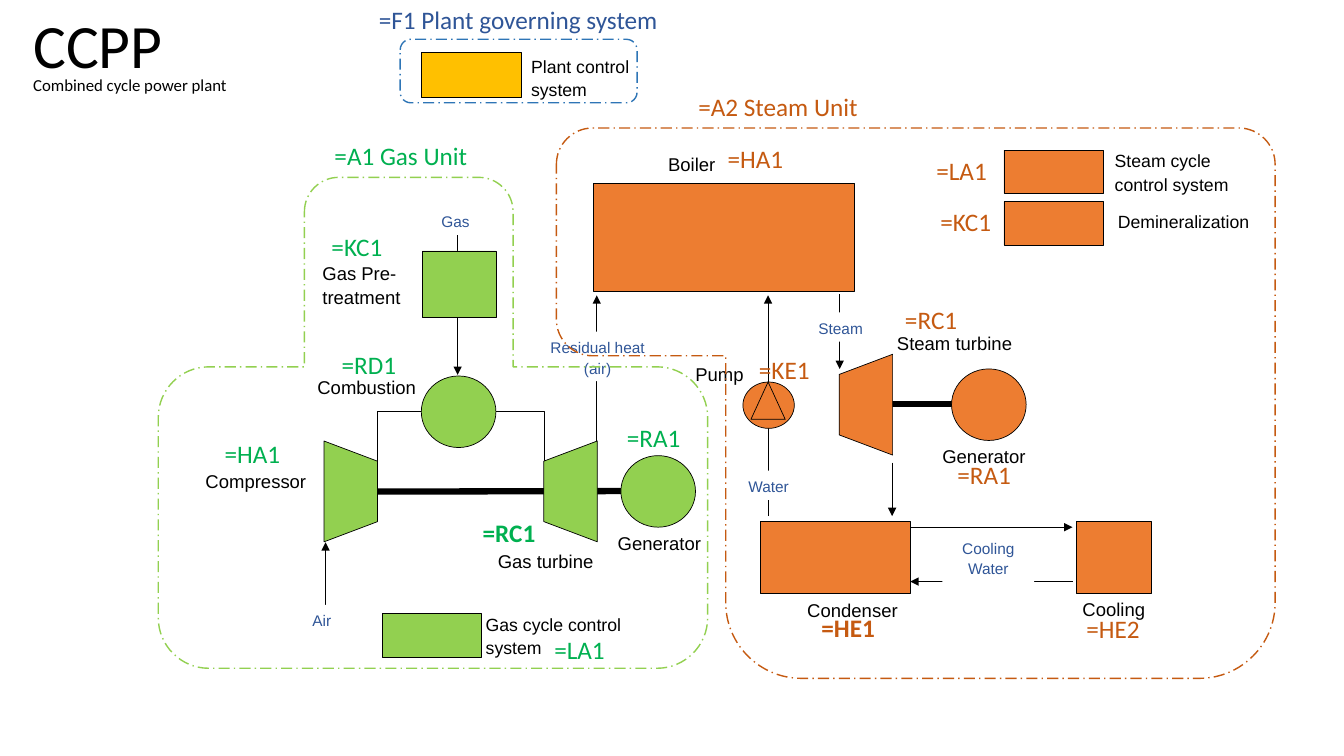
import math

from lxml import etree
from pptx import Presentation
from pptx.dml.color import RGBColor
from pptx.enum.dml import MSO_LINE
from pptx.enum.shapes import MSO_CONNECTOR, MSO_SHAPE
from pptx.enum.text import MSO_ANCHOR, MSO_AUTO_SIZE, PP_ALIGN
from pptx.oxml.ns import qn
from pptx.util import Inches, Pt

RECTANGLE = MSO_SHAPE.RECTANGLE
ROUNDED = MSO_SHAPE.ROUNDED_RECTANGLE
OVAL = MSO_SHAPE.OVAL
TRIANGLE = MSO_SHAPE.ISOSCELES_TRIANGLE
TURBINE = MSO_SHAPE.FLOWCHART_MANUAL_OPERATION
STRAIGHT = MSO_CONNECTOR.STRAIGHT
DASH = MSO_LINE.LONG_DASH_DOT
LEFT, CENTER = PP_ALIGN.LEFT, PP_ALIGN.CENTER
TOP, MIDDLE = MSO_ANCHOR.TOP, MSO_ANCHOR.MIDDLE
NO_FIT, GROW = MSO_AUTO_SIZE.NONE, MSO_AUTO_SIZE.SHAPE_TO_FIT_TEXT

BLACK = RGBColor(0x00, 0x00, 0x00)
WHITE = RGBColor(0xFF, 0xFF, 0xFF)
GREEN = RGBColor(0x92, 0xD0, 0x50)
GREEN_TAG = RGBColor(0x00, 0xB0, 0x50)
ORANGE = RGBColor(0xED, 0x7D, 0x31)
ORANGE_TAG = RGBColor(0xC5, 0x5A, 0x11)
YELLOW = RGBColor(0xFF, 0xC0, 0x00)
BLUE_TEXT = RGBColor(0x2F, 0x55, 0x97)
BLUE_LINE = RGBColor(0x2E, 0x75, 0xB6)

COLUMNS, ROWS = 133.33, 75
ARC_PULL = 0.45
ROUND_SIZE = (7.4, 7.1)
TURBINE_SIZE = (10, 5.3)
CONTROL_SIZE = (9.9, 4.3)

PIPES = [
    (59.2, 44.4, 59.2, 29.3), (90.3, 52.3, 106.4, 52.3), (32.3, 60.4, 32.3, 53.8),
    (76.2, 51.2, 76.2, 29.3), (83.3, 29.2, 83.3, 36.6), (88.5, 45.9, 88.5, 51.2),
    (45.4, 23.1, 45.4, 37.2), (106.4, 57.7, 90.3, 57.7),
]
SHAFTS = [(37.4, 48.77, 61.6, 48.72), (88.5, 40.1, 94.4, 40.1)]

BLOCKS = [
    (RECTANGLE, 37.4, 40.8, (16.6, 7.9), None, 0),
    (RECTANGLE, 106.8, 51.7, (7.4, 7.2), ORANGE, 0),
    (TURBINE, 29.8, 46.1, TURBINE_SIZE, GREEN, 270),
    (OVAL, 41.8, 37.3, ROUND_SIZE, GREEN, 0),
    (RECTANGLE, 58.9, 18.2, (25.9, 10.7), ORANGE, 0),
    (TURBINE, 80.9, 37.5, TURBINE_SIZE, ORANGE, 90),
    (RECTANGLE, 75.4, 51.7, (14.9, 7.2), ORANGE, 0),
    (OVAL, 61.6, 45.2, ROUND_SIZE, GREEN, 0),
    (TURBINE, 51.6, 46.1, TURBINE_SIZE, GREEN, 90),
    (OVAL, 94.4, 36.6, ROUND_SIZE, ORANGE, 0),
    (OVAL, 73.7, 37.9, (5.1, 4.6), ORANGE, 0),
    (TRIANGLE, 74.5, 37.9, (3.4, 3.7), None, 0),
    (RECTANGLE, 37.9, 60.9, CONTROL_SIZE, GREEN, 0),
    (RECTANGLE, 99.6, 14.9, CONTROL_SIZE, ORANGE, 0),
    (RECTANGLE, 99.6, 20, CONTROL_SIZE, ORANGE, 0),
    (RECTANGLE, 41.9, 24.9, (7.3, 6.6), GREEN, 0),
    (RECTANGLE, 41.8, 5.2, (9.9, 4.5), YELLOW, 0),
]

CAPTIONS = [
    ("Compressor", 19.4, 45.9, 23.5, 3.3), ("Gas turbine", 48.4, 53.9, 23.5, 3.3),
    ("Generator", 60.3, 52.1, 23.5, 3.3), ("Steam turbine", 88, 32.2, 23.5, 3.3),
    ("Generator", 92.5, 43.4, 23.5, 3.3), ("Boiler", 65.3, 14.5, 17.9, 3.3),
    ("Pump", 68, 35.3, 17.9, 3.3), ("Condenser", 79.1, 58.7, 17.9, 3.3),
    ("Cooling", 106.4, 58.6, 17.9, 3.3), ("Combustion", 30.5, 36.6, 12.8, 3.3),
    ("Gas Pre-treatment", 31, 25.3, 12.8, 5.7),
]
CONTROL_CAPTIONS = [
    ("Steam cycle control system", 109.6, 14.2, 16.9, 5.5),
    ("Demineralization", 109.9, 20.2, 16.9, 3.2),
    ("Gas cycle control system", 47.2, 60.2, 16.9, 5.5),
    ("Plant control system", 51.7, 4.8, 16.9, 5.5),
]
MEDIA = [
    ("Gas", 42.8, 20.4, 12.8, 2.9, LEFT), ("Air", 30, 60, 5.1, 2.9, LEFT),
    ("Residual heat\n(air)", 52.5, 32.9, 13.6, 4.9, CENTER),
    ("Water", 71.7, 46.7, 9.1, 2.9, CENTER), ("Steam", 78.9, 31, 9, 2.9, CENTER),
    ("Cooling Water", 93.5, 52.8, 9.1, 5, CENTER),
]
TAGS = {
    GREEN_TAG: [
        ("=A1 Gas Unit", 32.2, 13.4, 15.3), ("=RC1", 46.9, 50.8, 7.4),
        ("=RA1", 61.2, 41.4, 7.4), ("=LA1", 54, 62.4, 7.1), ("=RD1", 32.9, 34.2, 7.5),
        ("=KC1", 31.9, 22.5, 7.1), ("=HA1", 21.3, 43, 7.6),
    ],
    ORANGE_TAG: [
        ("=A2 Steam Unit", 68.3, 8.6, 18), ("=HA1", 71.2, 13.7, 7.6),
        ("=RC1", 88.8, 29.7, 7.3), ("=RA1", 94, 45.1, 7.4), ("=LA1", 91.9, 14.9, 7.1),
        ("=KC1", 92.3, 20, 7.1), ("=KE1", 74.3, 34.7, 7.1), ("=HE2", 106.8, 60.4, 7.4),
        ("=HE1", 80.5, 60.3, 7.4),
    ],
    BLUE_TEXT: [("=F1 Plant governing system", 36.6, -0.1, 30.4)],
}
BOLD_TAGS = [("=RC1", GREEN_TAG), ("=HE1", ORANGE_TAG)]

STEAM_UNIT = [
    (55.2, 12.7, 3.6), (126.5, 12.7, 3.6), (126.5, 67.3, 7.5),
    (72, 67.3, 7.5), (72, 35.3, 0), (55.2, 35.3, 3.6),
]
GAS_UNIT = [
    (30.2, 17.6, 3.4), (50.9, 17.6, 3.4), (50.9, 36.4, 0), (70.2, 36.4, 5),
    (70.2, 66.3, 5), (15.7, 66.3, 5), (15.7, 36.4, 5), (30.2, 36.4, 0),
]


def grid(*lengths):
    return [Inches(length / 10) for length in lengths]


def style_shape(shape, fill, line, width):
    shape.shadow.inherit = False
    if fill is None:
        shape.fill.background()
    else:
        shape.fill.solid()
        shape.fill.fore_color.rgb = fill
    if line is None:
        shape.line.fill.background()
    else:
        shape.line.color.rgb = line
        shape.line.width = Pt(width)


def write(shape, text, size, font, color, spacing=1.0, align=LEFT, bold=False):
    shape.text_frame.text = text
    for para in shape.text_frame.paragraphs:
        para.alignment = align
        para.line_spacing = spacing
        para.space_before = Pt(0)
        for span in para.runs:
            span.font.size = Pt(size)
            span.font.name = font
            span.font.color.rgb = color
            span.font.bold = bold


def add_block(page, kind, left, top, size, fill, turn):
    block = page.shapes.add_shape(kind, *grid(left, top, *size))
    block.rotation = turn
    style_shape(block, fill, BLACK, 0.5)


def add_line(page, ends, width, arrow=False):
    line = page.shapes.add_connector(STRAIGHT, *grid(*ends))
    line.line.color.rgb = BLACK
    line.line.width = Pt(width)
    if arrow:
        outline = line._element.spPr.find(qn("a:ln"))
        etree.SubElement(outline, qn("a:tailEnd"), type="triangle")
    etree.SubElement(line._element.spPr, qn("a:effectLst"))


def add_text(page, text, place, size, font, color, spacing=1.0, wrap=True, bold=False):
    box = page.shapes.add_textbox(*grid(*place))
    box.text_frame.word_wrap = wrap
    box.text_frame.auto_size = GROW
    write(box, text, size, font, color, spacing, bold=bold)


def add_medium(page, text, left, top, width, height, align):
    label = page.shapes.add_shape(RECTANGLE, *grid(left, top, width, height))
    style_shape(label, WHITE, None, 0)
    label.text_frame.vertical_anchor = TOP
    label.text_frame.word_wrap = True
    label.text_frame.auto_size = GROW
    write(label, text, 11, "Arial", BLUE_TEXT, 1.1, align)


def toward(start, end, distance):
    share = distance / math.dist(start, end)
    return [a + (b - a) * share for a, b in zip(start, end)]


def corner_points(before, corner, after, radius):
    if radius == 0:
        return [corner]
    pull = radius * ARC_PULL
    return [toward(corner, before, radius), toward(corner, before, pull),
            toward(corner, after, pull), toward(corner, after, radius)]


def add_unit_border(page, corners, color):
    points, arc_starts = [], []
    for index, (x, y, radius) in enumerate(corners):
        before = corners[index - 1][:2]
        after = corners[(index + 1) % len(corners)][:2]
        if radius:
            arc_starts.append(len(points))
        points += [grid(*point) for point in corner_points(before, (x, y), after, radius)]
    builder = page.shapes.build_freeform(*points[0])
    builder.add_line_segments(points[1:], close=True)
    border = builder.convert_to_shape()
    segments = list(border._element.iter(qn("a:lnTo")))
    for start in arc_starts:
        arc = etree.Element(qn("a:cubicBezTo"))
        segments[start].addprevious(arc)
        for segment in segments[start:start + 3]:
            arc.append(segment[0])
            segment.getparent().remove(segment)
    style_shape(border, None, color, 1)
    border.line.dash_style = DASH


def add_title(page):
    title = page.shapes.title
    title.left, title.top, title.width, title.height = grid(2.3, -2.4, 19.4, 14.5)
    title.text_frame.vertical_anchor = MIDDLE
    title.text_frame.auto_size = NO_FIT
    write(title, "CCPP", 44, "Calibri", BLACK, 0.9)
    add_text(page, "Combined cycle power plant", (2.3, 6.9, 32.8, 3), 12, "Calibri", BLACK)


def main():
    deck = Presentation()
    deck.slide_width, deck.slide_height = grid(COLUMNS, ROWS)
    page = deck.slides.add_slide(deck.slide_layouts[5])
    add_title(page)
    for ends in SHAFTS:
        add_line(page, ends, 4.5)
    for ends in PIPES:
        add_line(page, ends, 0.75, arrow=True)
    for block in BLOCKS:
        add_block(page, *block)
    for size, captions in ((13.2, CAPTIONS), (12.6, CONTROL_CAPTIONS)):
        for text, *place in captions:
            add_text(page, text, place, size, "Arial", BLACK, 1.1)
    for medium in MEDIA:
        add_medium(page, *medium)
    add_unit_border(page, STEAM_UNIT, ORANGE_TAG)
    add_unit_border(page, GAS_UNIT, GREEN)
    governing = page.shapes.add_shape(ROUNDED, *grid(39.7, 3.9, 23.5, 6.3))
    style_shape(governing, None, BLUE_LINE, 1)
    governing.line.dash_style = DASH
    for color, tags in TAGS.items():
        for text, left, top, width in tags:
            add_text(page, text, (left, top, width, 4), 18, "Calibri", color,
                     wrap=False, bold=(text, color) in BOLD_TAGS)
    deck.save("out.pptx")


if __name__ == "__main__":
    main()
